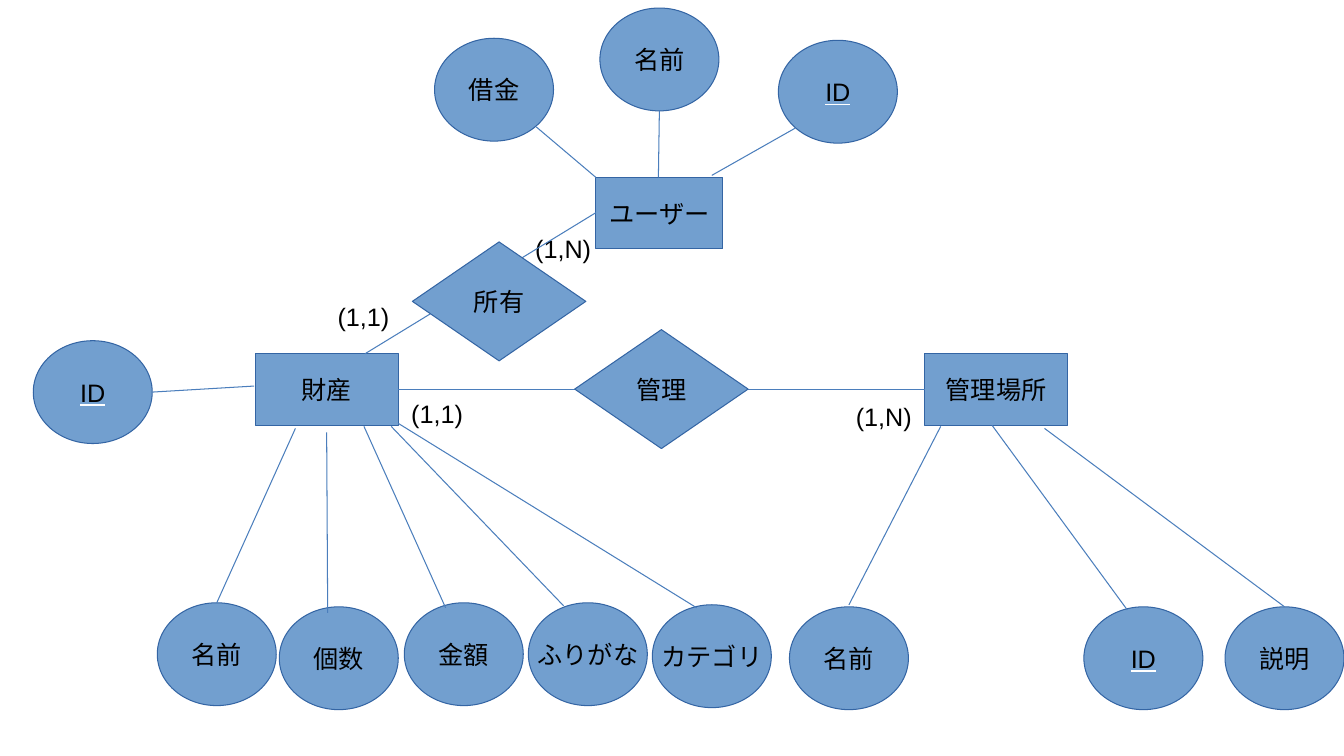
from lxml import etree
from pptx import Presentation
from pptx.dml.color import RGBColor
from pptx.enum import shapes, text
from pptx.oxml import ns
from pptx.util import Inches, Pt

COLORS = {"fill": "729FCF", "outline": "3465A4", "link": "4B7EBC",
          "text": "000000", "underline": "FFFFFF"}
KINDS = shapes.MSO_SHAPE
ATTRIBUTE_SIZE = (1.18, 1.02)
RELATION_SIZE = (1.72, 1.18)
ENTITY_HEIGHT = 0.71

prs = Presentation()
prs.slide_width, prs.slide_height = Inches(13.33), Inches(7.5)
slide = prs.slides.add_slide(prs.slide_layouts[6])


def add_node(kind, label, left, top, width, height):
    """Add a labelled node of the diagram; an ID is underlined as a key."""
    node = slide.shapes.add_shape(kind, *map(Inches, (left, top, width, height)))
    node.shadow.inherit = False
    node.fill.solid()
    node.fill.fore_color.rgb = RGBColor.from_string(COLORS["fill"])
    node.line.color.rgb = RGBColor.from_string(COLORS["outline"])
    node.line.width = Pt(0.75)
    frame = node.text_frame
    frame.word_wrap = False
    frame.vertical_anchor = text.MSO_ANCHOR.MIDDLE
    frame.text = label
    paragraph = frame.paragraphs[0]
    paragraph.alignment = text.PP_ALIGN.CENTER
    font = paragraph.runs[0].font if label == "ID" else paragraph.font
    font.name, font.size = "Arial", Pt(18)
    font.color.rgb = RGBColor.from_string(COLORS["text"])
    if label == "ID":
        font.underline = True
        properties = paragraph.runs[0]._r.get_or_add_rPr()
        key_line = etree.Element(ns.qn("a:uFill"))
        solid = etree.SubElement(key_line, ns.qn("a:solidFill"))
        etree.SubElement(solid, ns.qn("a:srgbClr"), val=COLORS["underline"])
        properties.find(ns.qn("a:solidFill")).addnext(key_line)


def add_link(x1, y1, x2, y2):
    """Add a plain line between two points."""
    link = slide.shapes.add_connector(
        shapes.MSO_CONNECTOR.STRAIGHT, *map(Inches, (x1, y1, x2, y2)))
    link.line.color.rgb = RGBColor.from_string(COLORS["link"])
    link.line.width = Pt(0.75)
    etree.SubElement(link._element.spPr, ns.qn("a:effectLst"))


entities = [("ユーザー", 5.91, 1.76, 1.26), ("財産", 2.53, 3.51, 1.42),
            ("管理場所", 9.17, 3.51, 1.42)]
for label, left, top, width in entities:
    add_node(KINDS.RECTANGLE, label, left, top, width, ENTITY_HEIGHT)

attributes = [
    # ユーザー
    ("借金", 4.31, 0.38), ("名前", 5.95, 0.08), ("ID", 7.72, 0.4),
    # 財産
    ("ID", 0.33, 3.38), ("名前", 1.56, 5.98), ("個数", 2.77, 6.02),
    ("金額", 4.01, 5.98), ("ふりがな", 5.24, 5.98), ("カテゴリ", 6.47, 6),
    # 管理場所
    ("名前", 7.83, 6.02), ("ID", 10.75, 6.02), ("説明", 12.15, 6.02),
]
for label, left, top in attributes:
    add_node(KINDS.OVAL, label, left, top, *ATTRIBUTE_SIZE)

cardinalities = [("(1,N)", 5.21, 2.27), ("(1,1)", 3.25, 2.94),
                 ("(1,1)", 3.98, 3.9), ("(1,N)", 8.39, 3.93)]
for label, left, top in cardinalities:
    cardinality = slide.shapes.add_textbox(
        *map(Inches, (left, top, 1.14, 0.4))).text_frame
    cardinality.word_wrap = True
    cardinality.text = label
    font = cardinality.paragraphs[0].font
    font.name, font.size = "Arial", Pt(18)
    font.color.rgb = RGBColor.from_string(COLORS["text"])

# Each relation covers the middle of the line joining its two entities.
relations = [("所有", 4.09, 2.4, (3.62, 3.51, 5.91, 2.11)),
             ("管理", 5.7, 3.27, (3.95, 3.86, 9.17, 3.86))]
for label, left, top, ends in relations:
    add_link(*ends)
    add_node(KINDS.DIAMOND, label, left, top, *RELATION_SIZE)

attribute_links = [
    (5.91, 1.76, 5.32, 1.26), (6.53, 1.76, 6.54, 1.1), (7.06, 1.74, 7.89, 1.27),
    (2.52, 3.83, 1.51, 3.89), (2.93, 4.25, 2.15, 5.98), (3.24, 4.29, 3.25, 6.08),
    (3.61, 4.23, 4.42, 6.03), (3.88, 4.23, 5.59, 6.01), (3.95, 4.2, 6.91, 6.03),
    (9.33, 4.23, 8.42, 6), (9.84, 4.22, 11.18, 6.05), (10.36, 4.25, 12.74, 6.02),
]
for ends in attribute_links:
    add_link(*ends)

prs.save("out.pptx")
